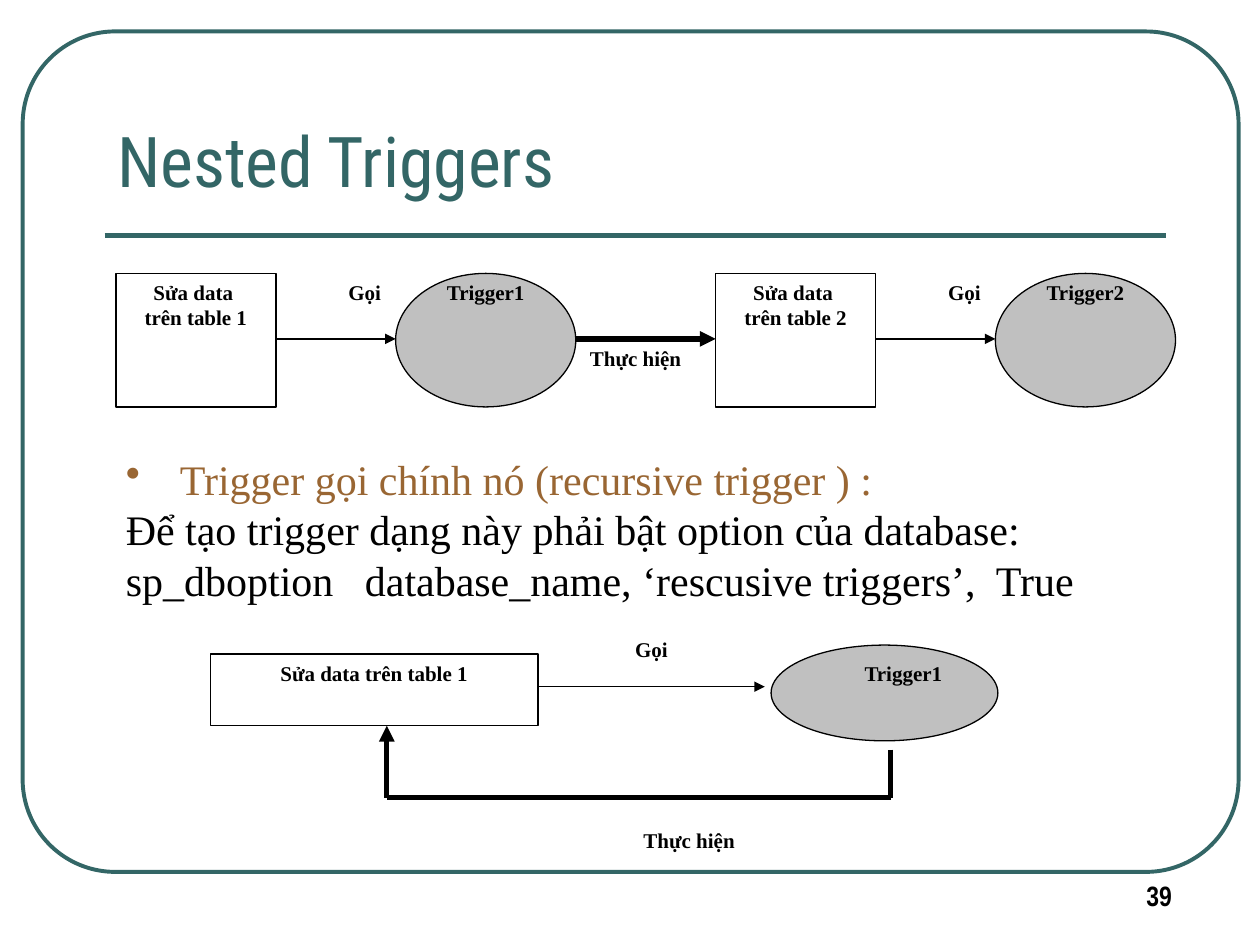
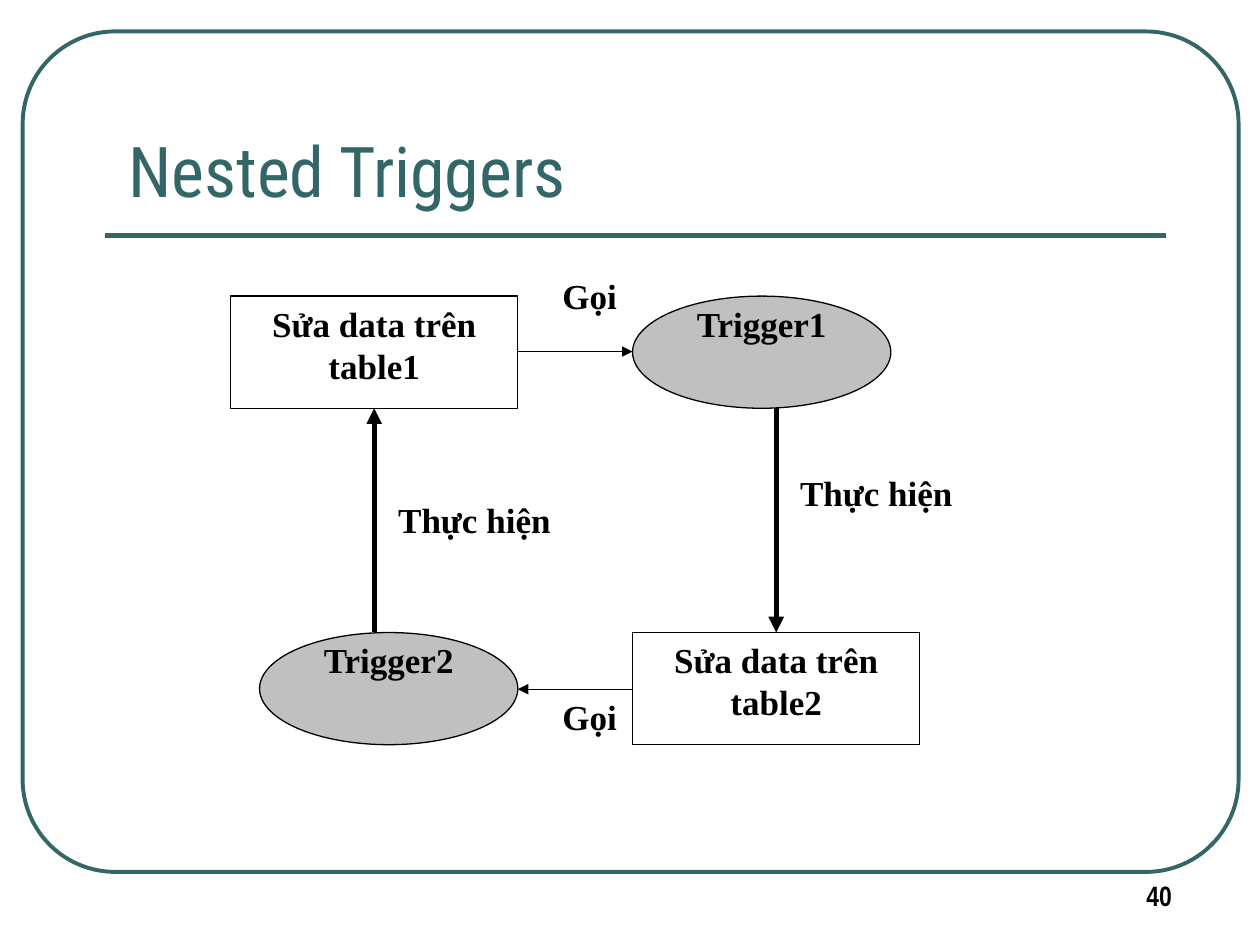
from lxml import etree
from pptx import Presentation
from pptx.dml.color import RGBColor
from pptx.enum.shapes import MSO_CONNECTOR, MSO_SHAPE
from pptx.enum.text import MSO_ANCHOR, MSO_AUTO_SIZE, PP_ALIGN
from pptx.oxml.ns import qn
from pptx.util import Inches, Pt

RECT, OVAL, ROUND = MSO_SHAPE.RECTANGLE, MSO_SHAPE.OVAL, MSO_SHAPE.ROUNDED_RECTANGLE
LEFT, MID = PP_ALIGN.LEFT, PP_ALIGN.CENTER
TOP, BOTTOM = MSO_ANCHOR.TOP, MSO_ANCHOR.BOTTOM
TEAL = RGBColor(0x33, 0x66, 0x66)
BROWN = RGBColor(0x99, 0x66, 0x33)
GRAY = RGBColor(0xC0, 0xC0, 0xC0)
WHITE = RGBColor(0xFF, 0xFF, 0xFF)
BLACK = RGBColor(0, 0, 0)
SERIF, HEAD, NARROW = "Times New Roman", "Roboto Condensed", "Arial Narrow"
THIN, THICK = 0.75, 3

# Content
TITLE = "Nested Triggers"
CALL, RUN = "Gọi", "Thực hiện"
CHAIN = [("Sửa data \ntrên table 1", "Trigger1"),
         ("Sửa data \ntrên table 2", "Trigger2")]
NOTES = [("Trigger gọi chính nó (recursive trigger ) :", BROWN),
         ("Để tạo trigger dạng này phải bật option của database:", BLACK),
         ("sp_dboption   database_name, ‘rescusive triggers’,  True", BLACK)]
SELF = ("Sửa data trên table 1", "Trigger1")
# Loop: text, left and top of each box and oval
BOXES = [("Sửa data trên table1", 1.83, 2.35), ("Sửa data trên table2", 5.02, 5.02)]
OVALS = [("Trigger1", 5.02, 2.35), ("Trigger2", 2.06, 5.02)]
LABELS = [(CALL, 4.11, 2.13, 1.14), (CALL, 4.11, 5.47, 1.14),
          (RUN, 6.16, 3.69, 1.59), (RUN, 2.97, 3.91, 1.59)]
LINKS = [((4.11, 2.79), (5.02, 2.79), THIN), ((5.02, 5.47), (4.11, 5.47), THIN),
         ((6.16, 3.24), (6.16, 5.02), THICK), ((2.97, 5.02), (2.97, 3.24), THICK)]


def write(shape, text, size=12, font=SERIF, color=BLACK, bold=True, align=MID,
          anchor=TOP):
    frame = shape.text_frame
    frame.word_wrap = True
    frame.auto_size = MSO_AUTO_SIZE.NONE
    frame.vertical_anchor = anchor
    frame.text = text
    for para in frame.paragraphs:
        para.alignment = align
        for run in para.runs:
            face = run.font
            face.name, face.size, face.bold = font, Pt(size), bold
            face.color.rgb = color
    return frame


def label(slide, text, x, y, w, h, **style):
    box = slide.shapes.add_textbox(Inches(x), Inches(y), Inches(w), Inches(h))
    return write(box, text, **style)


def node(slide, kind, x, y, w, h, fill=None, edge=BLACK, width=THIN):
    shape = slide.shapes.add_shape(kind, Inches(x), Inches(y), Inches(w), Inches(h))
    shape.shadow.inherit = False
    if fill is None:
        shape.fill.background()
    else:
        shape.fill.solid()
        shape.fill.fore_color.rgb = fill
    shape.line.color.rgb = edge
    shape.line.width = Pt(width)
    return shape


def link(slide, start, end, width=THIN, color=BLACK, arrow=True):
    line = slide.shapes.add_connector(
        MSO_CONNECTOR.STRAIGHT, *(Inches(v) for v in start + end))
    line.line.color.rgb = color
    line.line.width = Pt(width)
    if arrow:
        tip = etree.SubElement(line.line._get_or_add_ln(), qn("a:tailEnd"))
        tip.set("type", "triangle")
    etree.SubElement(line._element.spPr, qn("a:effectLst"))


def start_slide(deck, number, x, y):
    """Add a slide with its frame, rule, page number and title."""
    slide = deck.slides.add_slide(deck.slide_layouts[5])
    frame = node(slide, ROUND, 0.18, 0.25, 9.65, 6.67, edge=TEAL, width=2.25)
    frame.adjustments[0] = 0.11
    link(slide, (0.83, 1.87), (9.25, 1.87), THICK, TEAL, arrow=False)
    label(slide, str(number), 9, 6.92, 0.67, 0.37, size=16, font=NARROW, align=LEFT)
    title = slide.shapes.title
    title.left, title.top = Inches(x), Inches(y)
    title.width, title.height = Inches(8.52), Inches(0.9)
    write(title, TITLE, size=40, font=HEAD, color=TEAL, bold=False,
          align=LEFT, anchor=BOTTOM)
    return slide


def draw_chain(slide):
    top, high, mid, step = 2.17, 1.06, 2.69, 4.76
    for i, (act, name) in enumerate(CHAIN):
        x = 0.92 + i * step
        write(node(slide, RECT, x, top, 1.27, high, WHITE), act)
        node(slide, OVAL, x + 2.22, top, 1.43, high, GRAY)
        label(slide, CALL, x + 1.58, top, 0.79, 0.79)
        label(slide, name, x + 2.38, top, 1.11, 0.79)
        link(slide, (x + 1.27, mid), (x + 2.22, mid))
    label(slide, RUN, 4.41, mid, 1.27, high)
    link(slide, (4.57, mid), (5.68, mid), THICK)


def draw_notes(slide):
    text = "\n".join(line for line, _ in NOTES)
    frame = label(slide, text, 0.9, 3.55, 8.2, 1.7, size=24, bold=False, align=LEFT)
    for i, (para, (_, color)) in enumerate(zip(frame.paragraphs, NOTES)):
        para.runs[0].font.color.rgb = color
        props = para._p.get_or_add_pPr()
        props.set("marL", str(Inches(0.43)))
        props.set("indent", str(-Inches(0.43)))
        if i == 0:
            etree.SubElement(props, qn("a:buChar")).set("char", "•")
        else:
            etree.SubElement(props, qn("a:buNone"))


def draw_self(slide):
    act, name = SELF
    write(node(slide, RECT, 1.67, 5.19, 2.6, 0.57, WHITE), act)
    link(slide, (4.27, 5.45), (6.07, 5.45))
    node(slide, OVAL, 6.12, 5.12, 1.8, 0.76, GRAY)
    # Way back: down, left, then up with the arrowhead
    bends = [(7.07, 5.95), (7.07, 6.33), (3.07, 6.33), (3.07, 5.76)]
    for i, (start, end) in enumerate(zip(bends, bends[1:])):
        link(slide, start, end, THICK, arrow=i == 2)
    label(slide, CALL, 4.67, 5, 1, 0.57)
    label(slide, RUN, 4.67, 6.52, 1.6, 0.57)
    label(slide, name, 6.47, 5.19, 1.4, 0.57)


def draw_loop(slide):
    high = 0.89
    for text, x, y in BOXES:
        write(node(slide, RECT, x, y, 2.28, high, WHITE), text, size=20)
    for _, x, y in OVALS:
        node(slide, OVAL, x, y, 2.05, high, GRAY)
    for start, end, width in LINKS:
        link(slide, start, end, width)
    for text, x, y in OVALS:
        label(slide, text, x + 0.23, y, 1.59, high, size=20)
    for text, x, y, w in LABELS:
        label(slide, text, x, y, w, 0.45, size=20)


def main():
    deck = Presentation()
    deck.slide_width, deck.slide_height = Inches(10), Inches(7.5)

    # Chain of triggers and a trigger that calls itself
    slide = start_slide(deck, 39, 0.83, 0.75)
    draw_chain(slide)
    draw_notes(slide)
    draw_self(slide)

    # Two triggers that call each other
    draw_loop(start_slide(deck, 40, 0.92, 0.83))

    deck.save("out.pptx")


if __name__ == "__main__":
    main()
